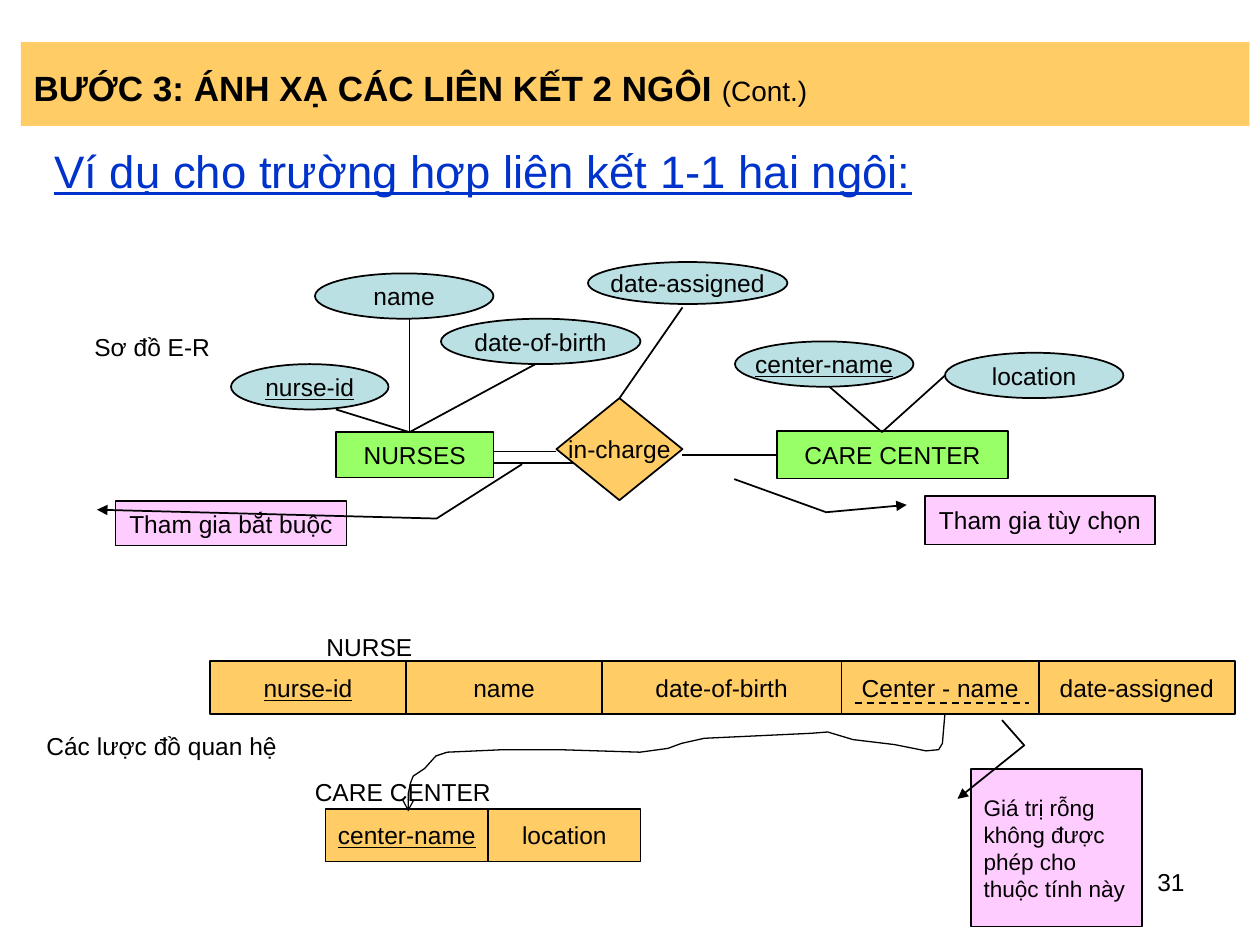
from lxml.etree import SubElement
from pptx import Presentation
from pptx.dml.color import RGBColor
from pptx.enum.dml import MSO_LINE
from pptx.enum.shapes import MSO_CONNECTOR, MSO_SHAPE
from pptx.enum.text import MSO_ANCHOR, PP_ALIGN
from pptx.oxml.ns import qn
from pptx.util import Inches, Pt

BLACK = RGBColor(0x00, 0x00, 0x00)
BLUE = RGBColor(0x00, 0x33, 0xCC)
ORANGE = RGBColor(0xFF, 0xCC, 0x66)
TEAL = RGBColor(0xBB, 0xE0, 0xE3)
GREEN = RGBColor(0x99, 0xFF, 0x66)
PINK = RGBColor(0xFF, 0xCC, 0xFF)

COL, ROW, TOP = 1 / 12, 0.09, 0.01

ATTRIBUTES = {
    "date-assigned": (56, 23, 19, 3.7),
    "nurse-id": (22, 32, 15, 4),
    "name": (30, 24, 17, 4),
    "center-name": (70, 30, 17, 4),
    "location": (90, 31, 17, 4),
    "date-of-birth": (42, 28, 19, 4),
}
KEYS = ("nurse-id", "center-name")
LINKS = [
    (47, 39.7, 53, 39.7),
    (32, 36, 39, 38),
    (39, 28, 39, 38),
    (51, 32, 39, 38),
    (79, 34, 84, 38),
    (84, 38, 90, 33),
]
NURSE = [("nurse-id", 18.67), ("name", 18.67), ("date-of-birth", 22.8),
         ("Center - name", 18.8), ("date-assigned", 18.67)]
CARE_CENTER = [("center-name", 15.5), ("location", 14.5)]
REFERENCE = [
    (7.5, 5.66), (7.48, 5.9), (7.45, 5.95), (7.35, 5.96), (7.1, 5.91),
    (6.77, 5.87), (6.57, 5.81), (6.44, 5.82), (5.59, 5.86), (5.41, 5.9),
    (5.3, 5.94), (5.08, 5.97), (4.43, 5.95), (4.0, 5.95), (3.55, 5.97),
    (3.46, 6.0), (3.37, 6.1), (3.28, 6.16), (3.26, 6.21), (3.24, 6.3),
    (3.24, 6.44),
]


def grid(x, y, w, h):
    """Turn columns and rows into left, top, width and height."""
    return Inches(x * COL), Inches(TOP + y * ROW), Inches(w * COL), Inches(h * ROW)


def write(sp, text, size=14, color=BLACK, align=PP_ALIGN.CENTER,
          anchor=MSO_ANCHOR.MIDDLE, wrap=False, underline=False):
    """Fill a shape with one formatted paragraph."""
    tf = sp.text_frame
    tf.word_wrap = wrap
    tf.vertical_anchor = anchor
    p = tf.paragraphs[0]
    p.text = text
    p.alignment = align
    p.font.name = "Arial"
    p.font.size = Pt(size)
    p.font.color.rgb = color
    if underline:
        p.font.underline = True
    return p


def add_label(s, text, cell, **style):
    """Add a plain text box."""
    return write(s.shapes.add_textbox(*grid(*cell)), text, **style)


def add_node(s, kind, text, cell, fill, **style):
    """Add an outlined shape with text."""
    sp = s.shapes.add_shape(kind, *grid(*cell))
    sp.shadow.inherit = False
    sp.fill.solid()
    sp.fill.fore_color.rgb = fill
    sp.line.color.rgb = BLACK
    sp.line.width = Pt(1)
    write(sp, text, **style)
    return sp


def add_arrowhead(sp, end, kind):
    """Put an arrowhead on one end of a shape's line."""
    SubElement(sp._element.spPr.get_or_add_ln(), qn(f"a:{end}"), type=kind)


def add_callout(s, text, cell, adjustments, **style):
    """Add a callout whose bent leader has an arrowhead."""
    sp = add_node(s, MSO_SHAPE.LINE_CALLOUT_2, text, cell, PINK, wrap=True, **style)
    for i, value in enumerate((0.19, -0.08, *adjustments)):
        sp.adjustments[i] = value
    add_arrowhead(sp, "headEnd", "triangle")


def add_link(s, x1, y1, x2, y2):
    """Add a straight black connector."""
    cx = s.shapes.add_connector(MSO_CONNECTOR.STRAIGHT, *grid(x1, y1, 0, 0)[:2],
                                *grid(x2, y2, 0, 0)[:2])
    cx.line.color.rgb = BLACK
    cx.line.width = Pt(1)
    SubElement(cx._element.spPr, qn("a:effectLst"))
    return cx


def add_relation(s, x, y, fields):
    """Add a relation schema as a run of adjoining cells."""
    for text, w in fields:
        add_node(s, MSO_SHAPE.RECTANGLE, text, (x, y, w, 4.67), ORANGE,
                 underline=text in KEYS)
        x += w


def add_reference(s):
    """Add the curved foreign key arrow."""
    start, *rest = [(Inches(x), Inches(y)) for x, y in REFERENCE]
    fb = s.shapes.build_freeform(*start)
    fb.add_line_segments(rest, close=False)
    sp = fb.convert_to_shape()
    sp.shadow.inherit = False
    sp.fill.background()
    sp.line.color.rgb = BLACK
    sp.line.width = Pt(0.75)
    add_arrowhead(sp, "tailEnd", "arrow")


def add_heading(s):
    """Format the title band and add the subtitle."""
    title = s.shapes.title
    title.left, title.top, title.width, title.height = grid(2, 3.6, 117, 7.4)
    title.fill.solid()
    title.fill.fore_color.rgb = ORANGE
    p = write(title, "BƯỚC 3: ÁNH XẠ CÁC LIÊN KẾT 2 NGÔI ", size=20,
              align=PP_ALIGN.LEFT, wrap=True)
    p.line_spacing = 1.15
    p.runs[0].font.bold = True
    r = p.add_run()
    r.text = "(Cont.)"
    r.font.size = Pt(16)
    r.font.bold = False
    p = add_label(s, "Ví dụ cho trường hợp liên kết 1-1 hai ngôi:", (4, 12.9, 113, 6.4),
                  size=26, color=BLUE, align=PP_ALIGN.LEFT, anchor=MSO_ANCHOR.TOP,
                  wrap=True, underline=True)
    p.line_spacing = 0.8


def add_er_diagram(s):
    """Add the entity-relationship diagram."""
    add_link(s, 45, 40.7, 56, 40.7)
    add_label(s, "Sơ đồ E-R", (4, 28, 21, 5))
    add_node(s, MSO_SHAPE.RECTANGLE, "NURSES", (32, 38, 15, 4), GREEN)
    center = add_node(s, MSO_SHAPE.RECTANGLE, "CARE CENTER", (74, 37.9, 22, 4.2), GREEN)
    charge = add_node(s, MSO_SHAPE.DIAMOND, "in-charge", (53, 35, 12, 9), ORANGE)
    for text, cell in ATTRIBUTES.items():
        add_node(s, MSO_SHAPE.OVAL, text, cell, TEAL, underline=text in KEYS)
    for ends in LINKS:
        add_link(s, *ends)
    add_link(s, 65, 40, 74, 40).end_connect(center, 1)
    add_link(s, 59, 35, 65, 27).begin_connect(charge, 0)
    add_callout(s, "Tham gia tùy chọn", (88.1, 43.6, 21.9, 4.3),
                (0.34, -0.43, -0.34, -0.83))
    add_callout(s, "Tham gia bắt buộc", (11, 44.1, 22, 3.9),
                (0.39, 1.39, -0.84, 1.76))


def add_schemas(s):
    """Add the relation schemas and their notes."""
    add_label(s, "Các lược đồ quan hệ", (2.4, 63.8, 26, 3.7))
    add_relation(s, 20, 58.2, NURSE)
    add_relation(s, 31, 71.2, CARE_CENTER)
    for text, x, y in (("NURSE", 29.9, 54.6), ("CARE CENTER", 28.8, 67.4)):
        add_label(s, text, (x, y, 20, 4.67), align=PP_ALIGN.LEFT)
    add_link(s, 81.4, 61.9, 98, 61.9).line.dash_style = MSO_LINE.DASH
    add_callout(s, "Giá trị rỗng không được phép cho thuộc tính này",
                (92.5, 67.7, 16.3, 13.9), (-0.15, 0.31, -0.31, 0.18),
                size=12.9, align=PP_ALIGN.LEFT)
    add_reference(s)


def main():
    """Build the slide and save it."""
    prs = Presentation()
    prs.slide_width, prs.slide_height = Inches(10), Inches(7.5)
    s = prs.slides.add_slide(prs.slide_layouts[5])
    add_heading(s)
    add_er_diagram(s)
    add_label(s, "31", (86, 75.8, 28, 5.8), align=PP_ALIGN.RIGHT,
              anchor=MSO_ANCHOR.TOP, wrap=True)
    add_schemas(s)
    prs.save("out.pptx")


if __name__ == "__main__":
    main()
